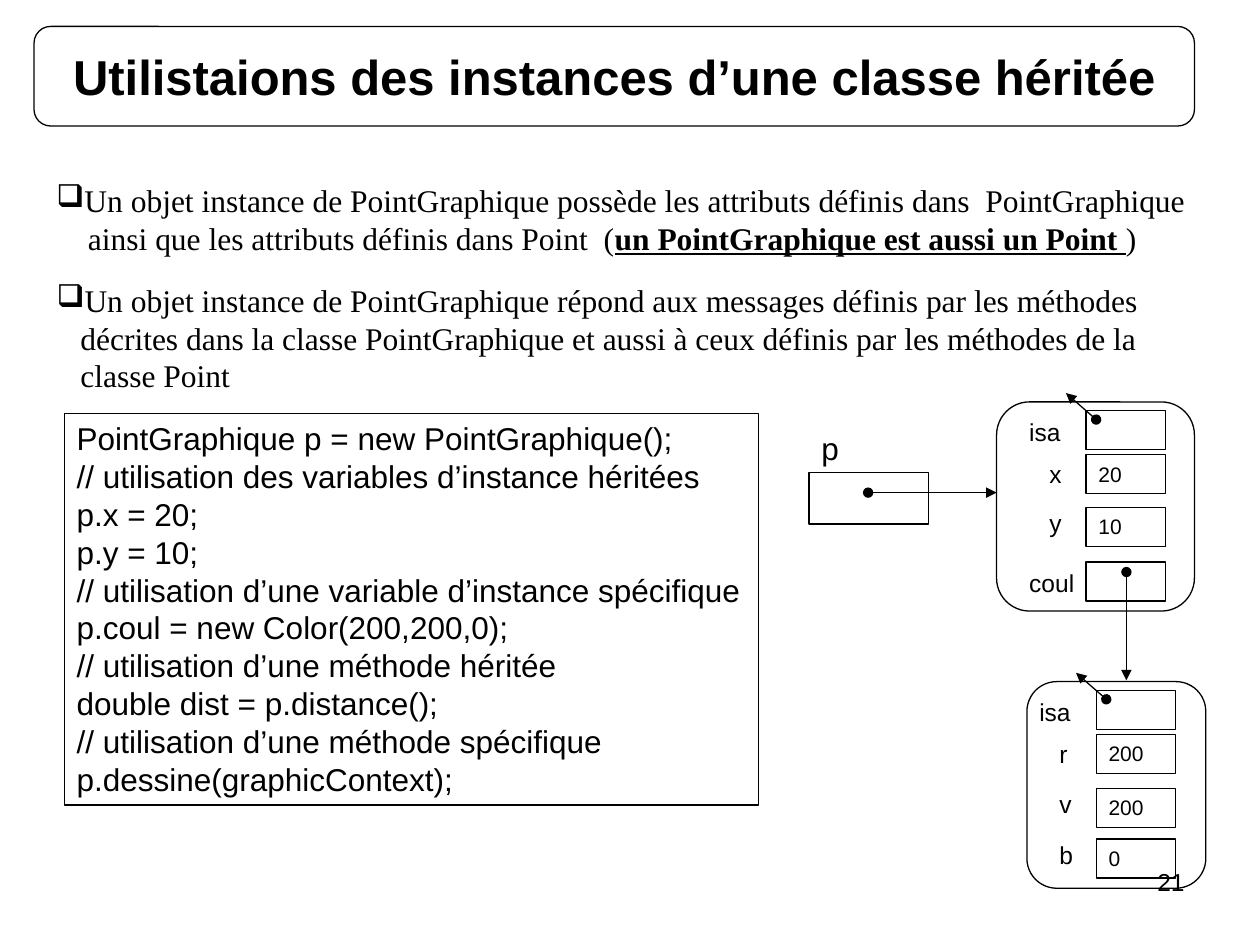
from lxml import etree
from pptx import Presentation
from pptx.dml.color import RGBColor
from pptx.enum.shapes import MSO_CONNECTOR, MSO_SHAPE
from pptx.enum.text import MSO_ANCHOR, PP_ALIGN
from pptx.oxml.ns import qn
from pptx.util import Inches, Pt

COLUMN = ROW = 0.1
INK = "000000"


def grid(*cells):
    """Turn column and row counts into lengths."""
    return [Inches(cell * COLUMN) for cell in cells]


def color(value):
    """Turn a hex string into a colour."""
    return RGBColor.from_string(value)


def write(shape, lines, size, font="Arial", bold=False, align=PP_ALIGN.LEFT,
          anchor=MSO_ANCHOR.TOP, wrap=True):
    """Fill a shape with one paragraph per line and return the paragraphs."""
    frame = shape.text_frame
    frame.word_wrap = wrap
    frame.vertical_anchor = anchor
    frame.text = "\n".join(lines)
    for paragraph in frame.paragraphs:
        paragraph.alignment = align
        paragraph.font.size = Pt(size)
        paragraph.font.name = font
        paragraph.font.bold = bold
        paragraph.font.color.rgb = color(INK)
    return frame.paragraphs


def add_label(slide, box, lines, size, **style):
    """Add a text box and return its paragraphs."""
    return write(slide.shapes.add_textbox(*grid(*box)), lines, size, **style)


def add_frame(slide, box, kind=MSO_SHAPE.RECTANGLE):
    """Add an outlined shape without fill."""
    shape = slide.shapes.add_shape(kind, *grid(*box))
    shape.shadow.inherit = False
    shape.fill.background()
    shape.line.color.rgb = color(INK)
    shape.line.width = Pt(0.75)
    return shape


def add_pointer(slide, start, end):
    """Add a reference arrow that starts with a dot."""
    line = slide.shapes.add_connector(MSO_CONNECTOR.STRAIGHT, *grid(*start, *end))
    line.line.color.rgb = color(INK)
    line.line.width = Pt(0.75)
    outline = line.line._get_or_add_ln()
    for tag, kind in (("a:headEnd", "oval"), ("a:tailEnd", "triangle")):
        etree.SubElement(outline, qn(tag), type=kind)
    etree.SubElement(line._element.spPr, qn("a:effectLst"))


def add_title(slide, box, text):
    """Add the framed title."""
    write(add_frame(slide, box, MSO_SHAPE.ROUNDED_RECTANGLE), [text], 28, bold=True,
          align=PP_ALIGN.CENTER, anchor=MSO_ANCHOR.MIDDLE, wrap=False)


def add_statement(slide, box, lines, indent):
    """Add a bulleted line followed by indented lines."""
    first, *others = add_label(slide, box, lines, 18, font="Times New Roman")
    properties = first._p.get_or_add_pPr()
    bullet = etree.Element(qn("a:buChar"), char="❑")
    properties.insert(0, bullet)
    for paragraph in others:
        paragraph._p.get_or_add_pPr().set("marL", str(grid(indent)[0]))
    return others


def add_code(slide, box, lines):
    """Add the framed code listing."""
    write(add_frame(slide, box), lines, 18)


def add_variable(slide, box, name):
    """Add a named variable cell."""
    left, top, width, height = box
    add_frame(slide, box)
    add_label(slide, (left, top - 3.9, 3.4, 4), [name], 18, wrap=False)


def add_instance(slide, box, slot_column, fields):
    """Add an object with its labelled slots and its isa pointer."""
    left, top, width, height = box
    slot_left = left + slot_column
    add_frame(slide, box, MSO_SHAPE.ROUNDED_RECTANGLE)
    for name, value, slot_row, name_row in fields:
        slot = add_frame(slide, (slot_left, top + slot_row, 6.3, 3.1))
        if value:
            write(slot, [value], 12)
        offset = 5.5 if len(name) > 1 else 3.9
        add_label(slide, (slot_left - offset, top + name_row, 7.1, 3.3), [name], 14)
    add_pointer(slide, (slot_left + 0.8, top + 1.4), (slot_left - 1.6, top - 0.7))


def add_page_number(slide, box, number):
    """Add the page number."""
    add_label(slide, box, [number], 14, align=PP_ALIGN.RIGHT)


def main():
    """Build and save the slide."""
    presentation = Presentation()
    presentation.slide_width, presentation.slide_height = grid(100, 75)
    slide = presentation.slides.add_slide(presentation.slide_layouts[6])

    add_title(slide, (2.7, 2.1, 92.1, 7.9), "Utilistaions des instances d’une classe héritée")

    [attributes] = add_statement(slide, (3.5, 13.9, 93.7, 7), [
        "Un objet instance de PointGraphique possède les attributs définis dans  PointGraphique",
        "ainsi que les attributs définis dans Point  (",
    ], 2.5)
    emphasis = attributes.add_run()
    emphasis.text = "un PointGraphique est aussi un Point "
    emphasis.font.bold = emphasis.font.underline = True
    attributes.add_run().text = ")"
    for run in attributes.runs:
        run.font.size = Pt(18)
        run.font.name = "Times New Roman"
        run.font.color.rgb = color(INK)

    add_statement(slide, (3.5, 21.8, 92.1, 10), [
        "Un objet instance de PointGraphique répond aux messages définis par les méthodes",
        "décrites dans la classe PointGraphique et aussi à ceux définis par les méthodes de la",
        "classe Point",
    ], 1.9)

    add_code(slide, (5.1, 32.8, 55.1, 31.1), [
        "PointGraphique p = new PointGraphique();",
        "// utilisation des variables d’instance héritées",
        "p.x = 20;",
        "p.y = 10;",
        "// utilisation d’une variable d’instance spécifique",
        "p.coul = new Color(200,200,0);",
        "// utilisation d’une méthode héritée",
        "double dist = p.distance();",
        "// utilisation d’une méthode spécifique",
        "p.dessine(graphicContext);",
    ])

    add_variable(slide, (64.2, 37.5, 9.5, 4.1), "p")
    add_instance(slide, (79.1, 31.9, 15.7, 16.6), 7.1, [
        ("isa", "", 0.7, 0.7), ("x", "20", 4.2, 4),
        ("y", "10", 8.4, 7.9), ("coul", "", 12.7, 12.7),
    ])
    add_instance(slide, (81.5, 54.1, 14.2, 16.4), 5.5, [
        ("isa", "", 0.7, 0.7), ("r", "200", 4.2, 4.1),
        ("v", "200", 8.5, 8), ("b", "0", 12.5, 12.1),
    ])
    add_pointer(slide, (68.9, 39.1), (79.1, 39.1))
    add_pointer(slide, (89.4, 45.4), (89.4, 54))
    add_page_number(slide, (71.7, 68.3, 23.3, 5.2), "21")

    presentation.save("out.pptx")


if __name__ == "__main__":
    main()
